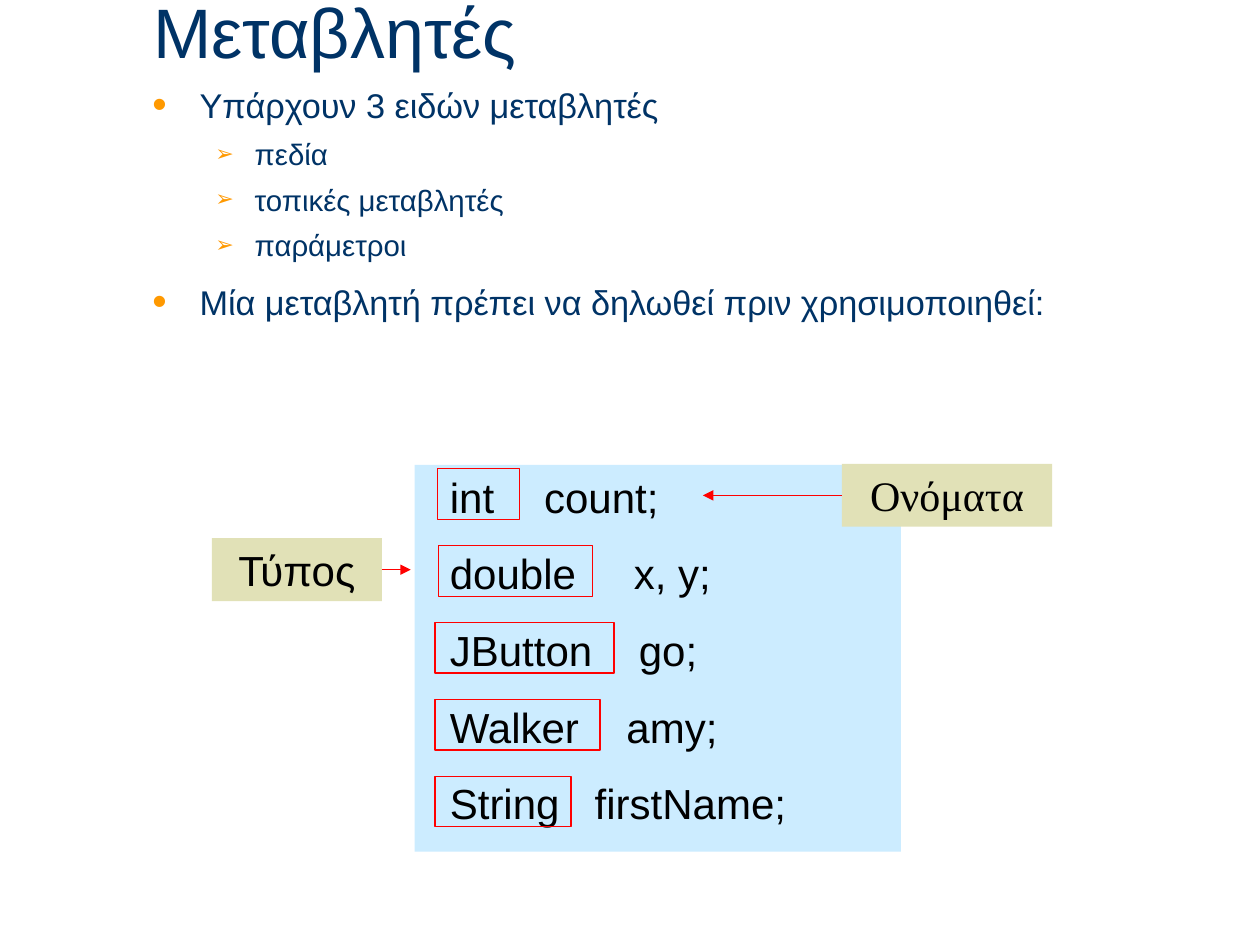
from lxml.etree import SubElement
from pptx import Presentation
from pptx.dml.color import RGBColor
from pptx.enum.shapes import MSO_CONNECTOR, MSO_SHAPE
from pptx.enum.text import MSO_ANCHOR, MSO_AUTO_SIZE, PP_ALIGN
from pptx.oxml.ns import qn
from pptx.util import Cm, Pt

NAVY, RED, BLACK = "003366", "FF0000", "000000"
SKY, SAND, ORANGE = "CCECFF", "E1E1B7", "FF9900"
FRAME = dict(word_wrap=True, auto_size=MSO_AUTO_SIZE.NONE,
             vertical_anchor=MSO_ANCHOR.TOP)

# Bullet styles by list level; lengths in cm
LEVELS = [
    dict(size=19.6, gap=10.5, left=0.95, hang=0.95, sign="•", scale=120),
    dict(size=16.8, gap=6, left=2.06, hang=0.79, sign="➢", scale=75),
]
ITEMS = [
    (0, "Υπάρχουν 3 ειδών μεταβλητές"),
    (1, "πεδία"),
    (1, "τοπικές μεταβλητές"),
    (1, "παράμετροι"),
    (0, "Μία μεταβλητή πρέπει να δηλωθεί πριν χρησιμοποιηθεί:"),
]
# Type, name, tab stop of the name, left and width of the frame
CODE = [
    ("int", "count;", 1.9, 0.46, 1.65),
    ("double", "x, y;", 3.71, 0.48, 3.1),
    ("JButton", "go;", 3.81, 0.41, 3.61),
    ("Walker", "amy;", 3.56, 0.41, 3.33),
    ("String", "firstName;", 2.92, 0.41, 2.74),
]
PITCH = 1.55  # from one code line to the next, in cm


def color(code):
    return RGBColor.from_string(code)


def apply(item, **values):
    for name, value in values.items():
        setattr(item, name, value)


def place(item, box):
    apply(item, **dict(zip(("left", "top", "width", "height"), map(Cm, box))))


def write(para, text, size, ink, face="Arial"):
    run = para.add_run()
    run.text = text
    apply(run.font, size=Pt(size), name=face)
    run.font.color.rgb = color(ink)


def add_rect(shapes, box, fill=None, line=None):
    rect = shapes.add_shape(MSO_SHAPE.RECTANGLE, *map(Cm, box))
    rect.shadow.inherit = False
    if fill:
        rect.fill.solid()
        rect.fill.fore_color.rgb = color(fill)
    else:
        rect.fill.background()
    if line:
        rect.line.color.rgb = color(line)
        rect.line.width = Pt(0.75)
    else:
        rect.line.fill.background()
    return rect


def add_title(slide, box):
    title = slide.shapes.title
    place(title, box)
    apply(title.text_frame, **{**FRAME, "vertical_anchor": MSO_ANCHOR.MIDDLE})
    para = title.text_frame.paragraphs[0]
    para.alignment = PP_ALIGN.LEFT
    write(para, "Μεταβλητές", 40, NAVY)


def set_bullet(para, left, hang, sign, scale):
    props = para._p.get_or_add_pPr()
    props.set("marL", str(Cm(left)))
    props.set("indent", str(-Cm(hang)))
    tint = SubElement(props, qn("a:buClr"))
    SubElement(tint, qn("a:srgbClr"), val=ORANGE)
    SubElement(props, qn("a:buSzPct"), val=str(scale * 1000))
    SubElement(props, qn("a:buFont"), typeface="Arial")
    SubElement(props, qn("a:buChar"), char=sign)


def add_list(slide, box):
    body = slide.placeholders[1]
    place(body, box)
    frame = body.text_frame
    apply(frame, **FRAME)
    for i, (level, text) in enumerate(ITEMS):
        para = frame.add_paragraph() if i else frame.paragraphs[0]
        look = dict(LEVELS[level])
        size, gap = look.pop("size"), look.pop("gap")
        apply(para, level=level, space_before=Pt(gap))
        set_bullet(para, **look)
        write(para, text, size, NAVY)


def add_code(slide, box):
    panel = add_rect(slide.shapes, box, fill=SKY)
    frame = panel.text_frame
    apply(frame, **FRAME, margin_left=Cm(0.71), margin_top=Cm(0.13))
    group = slide.shapes.add_group_shape()
    for i, (kind, name, stop, x, width) in enumerate(CODE):
        para = frame.add_paragraph() if i else frame.paragraphs[0]
        apply(para, alignment=PP_ALIGN.LEFT, space_before=Pt(15 if i else 0))
        tabs = SubElement(para._p.get_or_add_pPr(), qn("a:tabLst"))
        SubElement(tabs, qn("a:tab"), pos=str(Cm(stop)), algn="l")
        write(para, f"{kind}\t{name}", 24, BLACK)
        # Red frame around the type, in step with the lines
        y = 0.08 + i * PITCH
        add_rect(group.shapes, (box[0] + x, box[1] + y, width, 1.02), line=RED)


def add_label(slide, box, text, face, side, reach):
    label = add_rect(slide.shapes, box, fill=SAND)
    apply(label.text_frame, **FRAME)
    para = label.text_frame.paragraphs[0]
    para.alignment = PP_ALIGN.CENTER
    write(para, text, 24, BLACK, face)
    # Arrow from the middle of one side
    x, y, width, height = box
    start = x + width if side == 3 else x
    mid = Cm(y + height / 2)
    arrow = slide.shapes.add_connector(
        MSO_CONNECTOR.STRAIGHT, Cm(start), mid, Cm(start + reach), mid)
    arrow.begin_connect(label, side)
    arrow.line.color.rgb = color(RED)
    arrow.line.width = Pt(0.75)
    SubElement(arrow.line._get_or_add_ln(), qn("a:tailEnd"), type="triangle")
    SubElement(arrow._element.spPr, qn("a:effectLst"))


def main():
    deck = Presentation()
    apply(deck, slide_width=Cm(25.4), slide_height=Cm(19.05))
    slide = deck.slides.add_slide(deck.slide_layouts[1])
    add_title(slide, (2.84, 0, 21.59, 1.22))
    add_list(slide, (2.82, 1.57, 20.47, 5))
    add_code(slide, (8.36, 9.37, 9.8, 7.8))
    add_label(slide, (4.27, 10.85, 3.43, 1.27), "Τύπος", "Arial", 3, 0.58)
    add_label(slide, (16.97, 9.35, 4.24, 1.27), "Ονόματα",
              "Times New Roman", 1, -2.8)
    deck.save("out.pptx")


if __name__ == "__main__":
    main()
